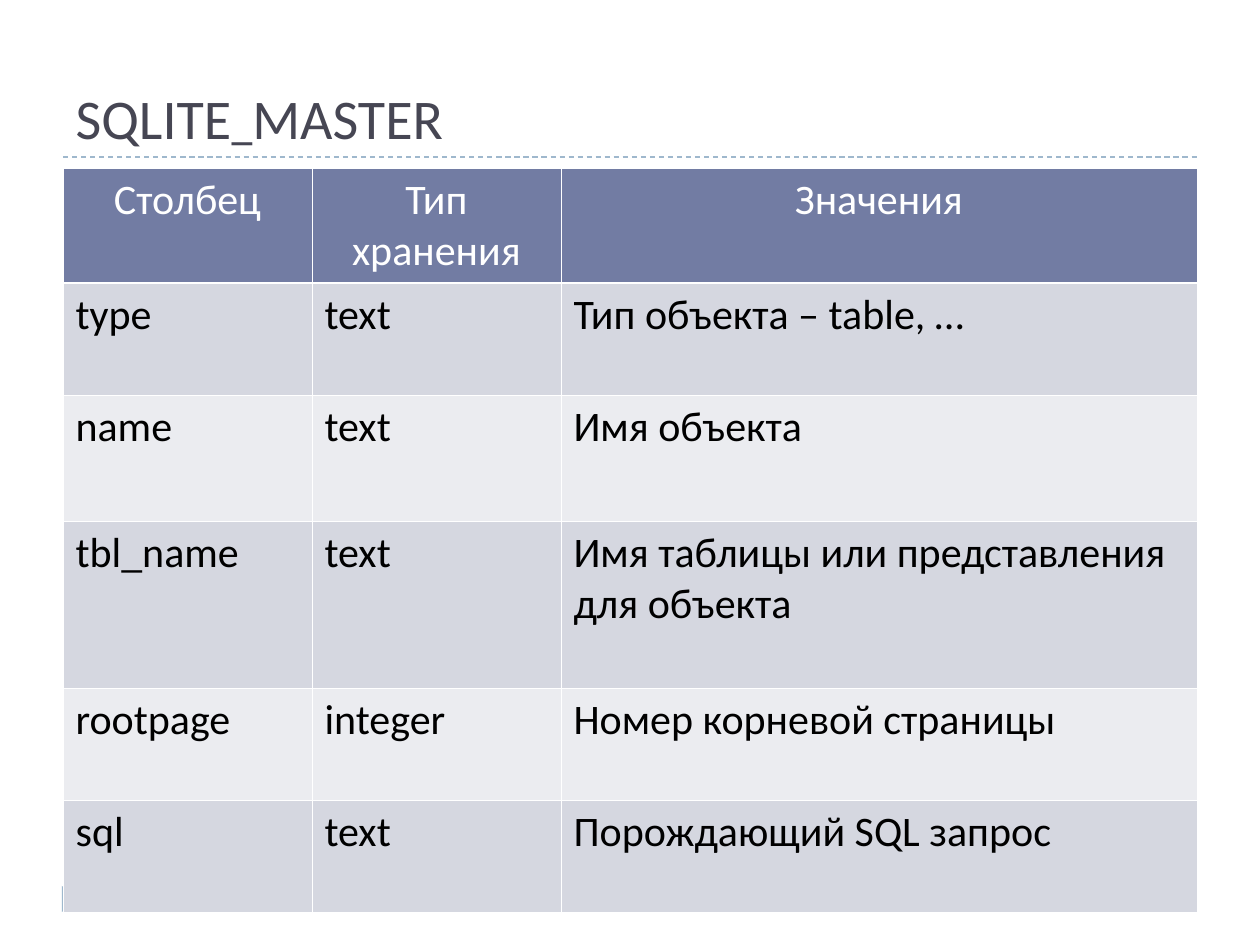
from lxml.etree import SubElement
from pptx import Presentation
from pptx.dml.color import RGBColor as RGB
from pptx.enum.dml import MSO_LINE
from pptx.enum.shapes import MSO_CONNECTOR, MSO_SHAPE
from pptx.enum.text import MSO_ANCHOR, PP_ALIGN
from pptx.oxml.ns import qn
from pptx.util import Pt

PX = 914400 / 126
COLORS = {"title": "464653", "accent": "9FB8CD", "header": "727CA3",
          "odd": "D5D7E0", "even": "EBECF0", "text": "000000", "white": "FFFFFF"}
COLS = [249, 249, 636]
ROWS = [115, 112, 126, 167, 112, 112]
DATA = [
    ("Столбец", "Тип хранения", "Значения"),
    ("type", "text", "Тип объекта – table, …"),
    ("name", "text", "Имя объекта"),
    ("tbl_name", "text", "Имя таблицы или представления для объекта"),
    ("rootpage", "integer", "Номер корневой страницы"),
    ("sql", "text", "Порождающий SQL запрос"),
]


def px(*values):
    """Turn pixel lengths into EMU."""
    return [round(v * PX) for v in values]


def set_border(cell, side, width):
    ln = SubElement(cell._tc.get_or_add_tcPr(), qn(f"a:ln{side}"), w=str(Pt(width)))
    fill = SubElement(ln, qn("a:solidFill"))
    SubElement(fill, qn("a:srgbClr"), val=COLORS["white"])


prs = Presentation()
prs.slide_width, prs.slide_height = px(1260, 945)
s = prs.slides.add_slide(prs.slide_layouts[5])

# Rule under the title and page marker
x1, y1, x2, y2 = px(63, 157, 1197, 157)
rule = s.shapes.add_connector(MSO_CONNECTOR.STRAIGHT, x1, y1, x2, y2)
rule.line.color.rgb = RGB.from_string(COLORS["accent"])
rule.line.width = Pt(0.75)
rule.line.dash_style = MSO_LINE.DASH
SubElement(rule._element.spPr, qn("a:effectLst"))

marker = s.shapes.add_shape(MSO_SHAPE.ISOSCELES_TRIANGLE, *px(57, 891, 26, 16))
marker.rotation = 90
marker.shadow.inherit = False
marker.fill.solid()
marker.fill.fore_color.rgb = RGB.from_string(COLORS["accent"])
marker.line.fill.background()

# Title
title = s.shapes.title
title.left, title.top, title.width, title.height = px(63, 21, 1134, 136)
tf = title.text_frame
tf.vertical_anchor = MSO_ANCHOR.BOTTOM
p = tf.paragraphs[0]
p.alignment = PP_ALIGN.LEFT
for text, font in [("SQLITE", "Calibri"), ("_", "Cambria"), ("MASTER", "Calibri")]:
    r = p.add_run()
    r.text = text
    r.font.name = font
    r.font.size = Pt(32)
    r.font.color.rgb = RGB.from_string(COLORS["title"])

# Table of columns
table = s.shapes.add_table(len(ROWS), len(COLS),
                           *px(63, 168, sum(COLS), sum(ROWS))).table
for col, width in zip(table.columns, px(*COLS)):
    col.width = width
for row, height in zip(table.rows, px(*ROWS)):
    row.height = height

for i, texts in enumerate(DATA):
    is_header = i == 0
    fill = "header" if is_header else "odd" if i % 2 else "even"
    for j, text in enumerate(texts):
        cell = table.cell(i, j)
        for side in "LRTB":
            thick = (i, side) in [(0, "B"), (1, "T")]
            set_border(cell, side, 1.47 if thick else 0.45)
        cell.fill.solid()
        cell.fill.fore_color.rgb = RGB.from_string(COLORS[fill])
        cell.text_frame.text = text
        p = cell.text_frame.paragraphs[0]
        p.alignment = PP_ALIGN.CENTER if is_header else PP_ALIGN.LEFT
        font = p.runs[0].font
        font.name = "Calibri"
        font.size = Pt(24)
        font.bold = False
        font.color.rgb = RGB.from_string(COLORS["white" if is_header else "text"])

prs.save("out.pptx")
